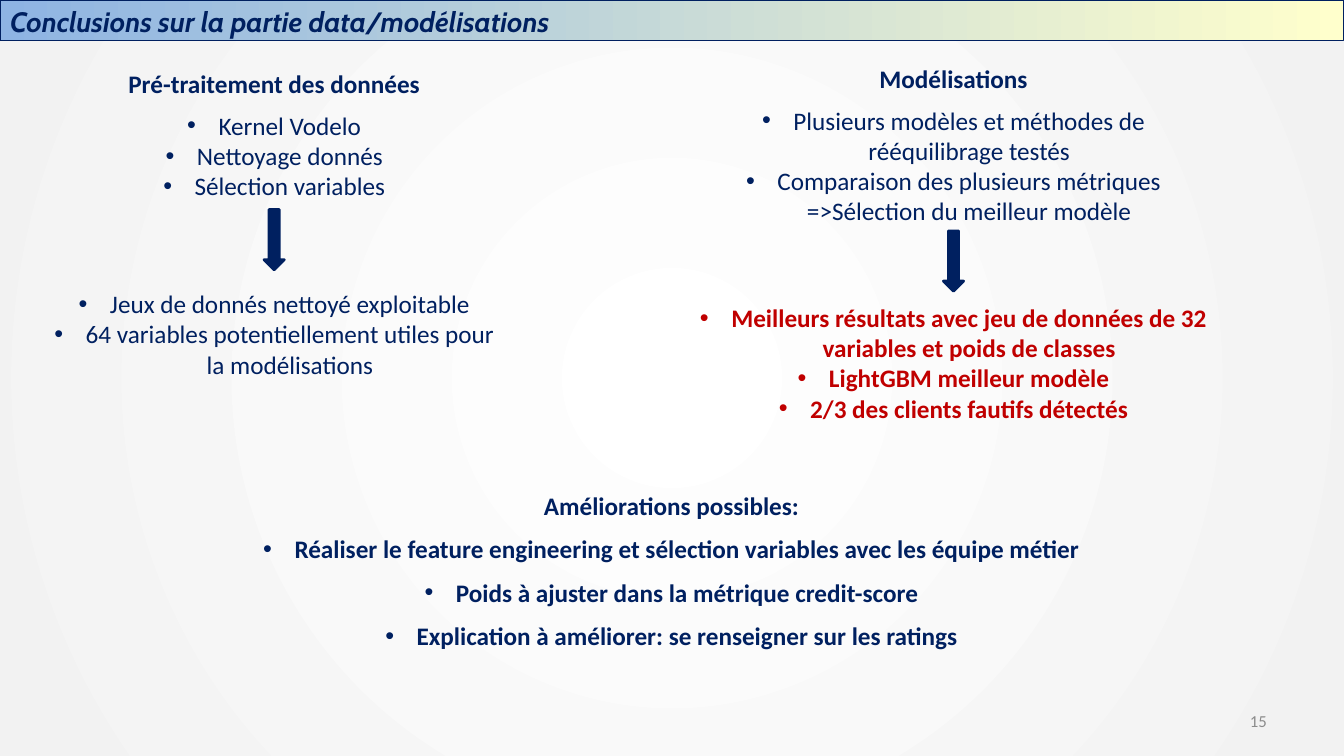
import pptx
import pptx.util
import pptx.dml.color
import pptx.enum.shapes
import pptx.enum.text
import pptx.oxml
import pptx.oxml.ns
from lxml import etree

Cm = pptx.util.Cm
Pt = pptx.util.Pt
ALIGN = pptx.enum.text.PP_ALIGN
ANCHOR = pptx.enum.text.MSO_ANCHOR
qn = pptx.oxml.ns.qn

COLORS = {
    "navy": "002060",
    "red": "C00000",
    "gray": "8C8C8C",
    "sky": "8EB4E3",
    "cream": "FFFFCC",
    "white": "FFFFFF",
    "pearl": "F2F2F2",
}


def rgb(name):
    return pptx.dml.color.RGBColor.from_string(COLORS[name])


def place(shape, left, top, width, height):
    shape.left, shape.top = Cm(left), Cm(top)
    shape.width, shape.height = Cm(width), Cm(height)


def prepare_frame(shape, anchor=ANCHOR.TOP):
    frame = shape.text_frame
    frame.word_wrap = True
    frame.auto_size = pptx.enum.text.MSO_AUTO_SIZE.NONE
    frame.vertical_anchor = anchor
    return frame


def set_bullet(paragraph, bulleted):
    properties = paragraph._p.get_or_add_pPr()
    indent = Cm(0.79) if bulleted else 0
    properties.set("marL", str(indent))
    properties.set("indent", str(-indent))
    if bulleted:
        etree.SubElement(properties, qn("a:buFont")).set("typeface", "Arial")
        etree.SubElement(properties, qn("a:buChar")).set("char", "•")
    else:
        etree.SubElement(properties, qn("a:buNone"))


def write(frame, text, size=18, font="Calibri", color="navy", bold=False, italic=False,
          align=ALIGN.CENTER, spacing=1.0, after=0, bullet=False):
    paragraph = frame.paragraphs[0]
    if paragraph.runs:
        paragraph = frame.add_paragraph()
    paragraph.alignment = align
    paragraph.line_spacing = spacing
    paragraph.space_before = Pt(0)
    paragraph.space_after = Pt(after)
    set_bullet(paragraph, bullet)
    run = paragraph.add_run()
    run.text = text
    run.font.size = Pt(size)
    run.font.name = font
    run.font.bold = bold
    run.font.italic = italic
    run.font.color.rgb = rgb(color)


def set_gradient(fill, start, end):
    fill.gradient()
    fill.gradient_angle = 0
    for stop, name in zip(fill.gradient_stops, (start, end)):
        stop.color.rgb = rgb(name)


def paint_background(slide):
    set_gradient(slide.background.fill, "white", "pearl")
    gradient = slide.element.find(".//" + qn("a:gradFill"))
    linear = gradient.find(qn("a:lin"))
    circle = etree.Element(qn("a:path"))
    circle.set("path", "circle")
    center = etree.SubElement(circle, qn("a:fillToRect"))
    for side in "ltrb":
        center.set(side, "50000")
    gradient.replace(linear, circle)


def add_title(slide, text, box):
    title = slide.shapes.title
    place(title, *box)
    set_gradient(title.fill, "sky", "cream")
    title.line.color.rgb = rgb("navy")
    title.line.width = Pt(0.75)
    frame = prepare_frame(title)
    frame.margin_top = Cm(0.18)
    write(frame, text, size=20, font="Cabin", bold=True, italic=True,
          align=ALIGN.LEFT, spacing=0.95)


def add_arrow(slide, center, top):
    width = 0.51
    arrow = slide.shapes.add_shape(pptx.enum.shapes.MSO_SHAPE.DOWN_ARROW,
                                   Cm(center - width / 2), Cm(top), Cm(width), Cm(1.52))
    arrow.shadow.inherit = False
    arrow.fill.solid()
    arrow.fill.fore_color.rgb = rgb("navy")
    arrow.line.color.rgb = rgb("navy")
    arrow.line.width = Pt(2)


def add_column(slide, box, placeholders, heading, steps, results, steps_width,
               arrow_offset, results_offset, **results_format):
    left, top, width, height = box
    center = left + width / 2
    steps_shape, results_shape = (slide.placeholders[index] for index in placeholders)

    place(steps_shape, center - steps_width / 2, top, steps_width, 5.25)
    frame = prepare_frame(steps_shape)
    write(frame, heading, bold=True, spacing=1.07, after=8)
    for step in steps:
        write(frame, step, bullet=True)

    add_arrow(slide, center, top + arrow_offset)

    place(results_shape, left, top + results_offset, width, height - results_offset)
    frame = prepare_frame(results_shape)
    for result in results:
        write(frame, result, bullet=True, **results_format)


def add_improvements(slide, box, heading, items):
    shape = slide.shapes.add_textbox(*map(Cm, box))
    frame = prepare_frame(shape)
    write(frame, heading, bold=True, spacing=1.07, after=8)
    for item in items:
        write(frame, item, bold=True, spacing=1.07, after=8, bullet=True)


def add_slide_number(slide, number, box):
    shape = slide.shapes.add_textbox(*map(Cm, box))
    write(prepare_frame(shape, ANCHOR.MIDDLE), number, size=12, color="gray", align=ALIGN.RIGHT)


def main():
    presentation = pptx.Presentation()
    presentation.slide_width = Cm(33.87)
    presentation.slide_height = Cm(19.05)
    comparison_layout = presentation.slide_layouts[4]
    slide = presentation.slides.add_slide(comparison_layout)

    paint_background(slide)
    add_title(slide, "Conclusions sur la partie data/modélisations", (0, 0, 33.87, 1.02))
    add_column(
        slide, (1.07, 1.55, 11.68, 8.15), (1, 2),
        "Pré-traitement des données",
        ["Kernel Vodelo", "Nettoyage donnés", "Sélection variables"],
        ["Jeux de donnés nettoyé exploitable",
         "64 variables potentiellement utiles pour la modélisations"],
        steps_width=8.92, arrow_offset=3.73, results_offset=5.59)
    add_column(
        slide, (16.13, 1.42, 15.8, 9.4), (3, 4),
        "Modélisations",
        ["Plusieurs modèles et méthodes de rééquilibrage testés",
         "Comparaison des plusieurs métriques =>Sélection du meilleur modèle"],
        ["Meilleurs résultats avec jeu de données de 32 variables et poids de classes",
         "LightGBM meilleur modèle",
         "2/3 des clients fautifs détectés"],
        steps_width=12.8, arrow_offset=4.4, results_offset=6.07, color="red", bold=True)
    add_improvements(
        slide, (3.3, 12.17, 27.25, 4.37),
        "Améliorations possibles:",
        ["Réaliser le feature engineering et sélection variables avec les équipe métier",
         "Poids à ajuster dans la métrique credit-score",
         "Explication à améliorer: se renseigner sur les ratings"])
    add_slide_number(slide, "15", (24.28, 17.65, 7.9, 1.02))

    presentation.save("out.pptx")


if __name__ == "__main__":
    main()
